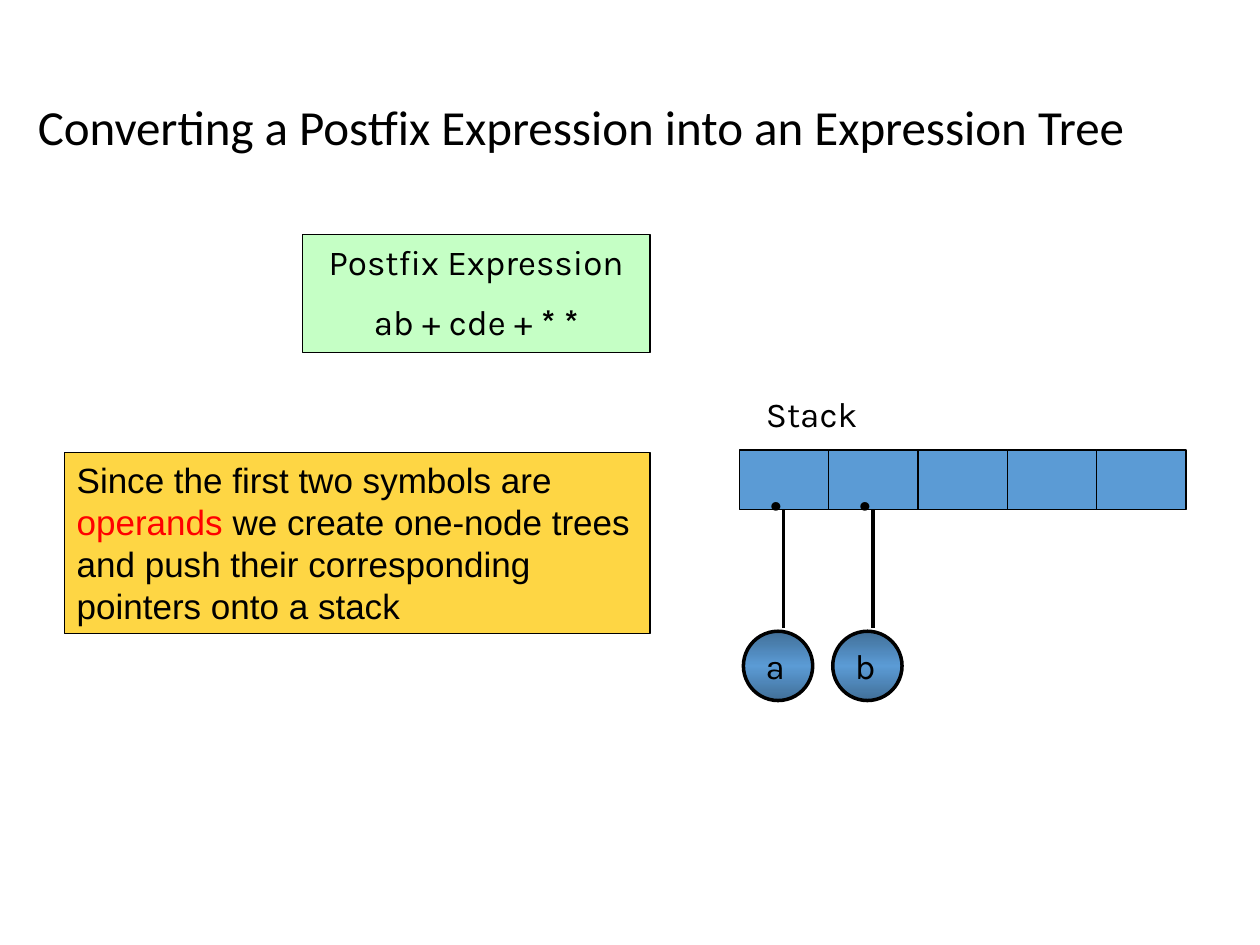
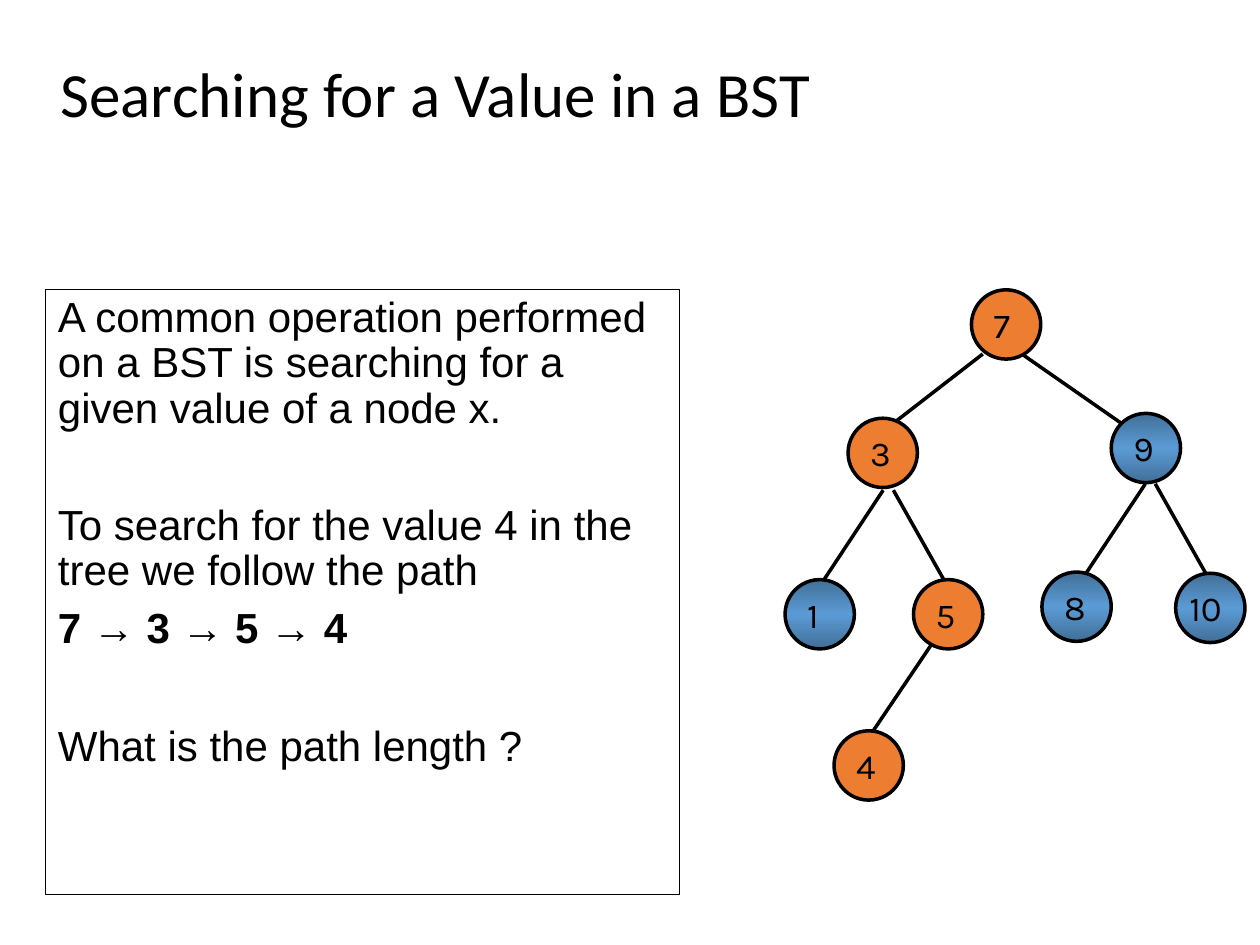
from copy import deepcopy

from lxml.etree import SubElement
from pptx import Presentation
from pptx.dml.color import RGBColor
from pptx.enum.shapes import MSO_CONNECTOR as Connector, MSO_SHAPE as Shape
from pptx.enum.text import MSO_ANCHOR as Anchor, MSO_AUTO_SIZE as AutoSize, PP_ALIGN as Align
from pptx.oxml.ns import qn
from pptx.util import Pt

THEME = {
    "ink": RGBColor.from_string("000000"),
    "keyword": RGBColor.from_string("FF0000"),
    "blue": RGBColor.from_string("5B9BD5"),
    "deep blue": RGBColor.from_string("416F98"),
    "orange": RGBColor.from_string("ED7D31"),
    "green": RGBColor.from_string("C5FFC5"),
    "yellow": RGBColor.from_string("FED644"),
    "label": {"name": "Karla", "size": Pt(20)},
    "note": {"name": "Arial", "size": Pt(20)},
    "body": {"name": "Arial", "size": Pt(24)},
    "dot": {"name": "Karla", "size": Pt(44)},
    "thin": Pt(0.75),
    "thick": Pt(2),
}
NODE_SIZE = 39.6


def write(frame, paragraphs, font, **layout):
    """Fill a frame; each paragraph is a list of (text, font changes, colour name)."""
    frame.word_wrap = True
    frame.auto_size = AutoSize.NONE
    for index, spans in enumerate(paragraphs):
        para = frame.add_paragraph() if index else frame.paragraphs[0]
        formats = {"alignment": Align.LEFT, "space_before": Pt(10 if index else 0), **layout}
        for name, value in formats.items():
            setattr(para, name, value)
        for text, changes, colour in spans:
            span = para.add_run()
            span.text = text
            for name, value in {**font, **changes}.items():
                setattr(span.font, name, value)
            span.font.color.rgb = THEME[colour]


def add_box(page, kind, area, fill, width):
    box = page.shapes.add_shape(kind, *map(Pt, area))
    box.shadow.inherit = False
    box.fill.solid()
    box.fill.fore_color.rgb = THEME[fill]
    box.line.color.rgb = THEME["ink"]
    box.line.width = width
    box.text_frame.vertical_anchor = Anchor.TOP
    return box


deck = Presentation()
deck.slide_width, deck.slide_height = Pt(720), Pt(540)
title_only, title_and_body = deck.slide_layouts[5], deck.slide_layouts[1]

# Titles
pages = []
for layout, text, size, area in [
    (title_only, "Converting a Postfix Expression into an Expression Tree", 28,
     (14.4, 16.6, 705.6, 115.2)),
    (title_and_body, "Searching for a Value in a BST", 36, (27.4, -2.2, 613.4, 115.2)),
]:
    page = deck.slides.add_slide(layout)
    title = page.shapes.title
    title.left, title.top, title.width, title.height = map(Pt, area)
    title.text_frame.vertical_anchor = Anchor.MIDDLE
    write(title.text_frame, [[(text, {}, "ink")]], {"name": "Calibri", "size": Pt(size)},
          line_spacing=0.9)
    pages.append(page)
postfix_page, search_page = pages

# Postfix expression and explanation
expression = add_box(postfix_page, Shape.RECTANGLE, (172.8, 133.9, 198.7, 67.7),
                     "green", THEME["thin"])
write(expression.text_frame, [
    [("Postfix Expression", {}, "ink")],
    [("ab + cde + ", {}, "ink"), ("* *", {"bold": True}, "ink")],
], THEME["label"], alignment=Align.CENTER)

explanation = add_box(postfix_page, Shape.RECTANGLE, (36.7, 258.5, 334.8, 103.7),
                      "yellow", THEME["thin"])
write(explanation.text_frame, [[
    ("Since the first two symbols are ", {}, "ink"),
    ("operands ", {}, "keyword"),
    ("we create one-node trees and push their corresponding pointers onto a stack", {}, "ink"),
]], THEME["note"])

# Stack
stack_label = postfix_page.shapes.add_textbox(*map(Pt, (430.6, 221, 167.8, 31.7)))
write(stack_label.text_frame, [[("Stack", {}, "ink")]], THEME["label"])
CELL_WIDTH, STACK_LEFT, OPERANDS = 51.05, 422.5, "ab"
for index in range(5):
    cell = add_box(postfix_page, Shape.RECTANGLE,
                   (STACK_LEFT + index * CELL_WIDTH, 257.2, CELL_WIDTH, 34),
                   "blue", THEME["thin"])
    if index < len(OPERANDS):
        frame = cell.text_frame
        frame.vertical_anchor = Anchor.MIDDLE
        frame.margin_left = Pt(17)
        write(frame, [[(".", {}, "ink")]], THEME["dot"])

# Search text
body = search_page.placeholders[1]
body.left, body.top, body.width, body.height = map(Pt, (25.9, 165.6, 362.2, 345.6))
body.line.color.rgb = THEME["ink"]
body.line.width = THEME["thin"]
write(body.text_frame, [
    [("A common operation performed on a BST is searching for a given value of a node x.",
      {}, "ink")],
    [("To search for the value 4 in the tree we follow the path", {}, "ink")],
    [("7 → 3 → 5 → 4", {"bold": True}, "ink")],
    [("What is the path length ?", {}, "ink")],
], THEME["body"], line_spacing=0.9)
for para, gap in zip(body.text_frame.paragraphs, (0, 41, 7.5, 41)):
    para.space_before = Pt(gap)
    settings = para._p.get_or_add_pPr()
    settings.set("marL", "0")
    settings.set("indent", "0")
    SubElement(settings, qn("a:buNone"))

# Stack pointers and tree edges: start x, start y, end x, end y
edges = [(postfix_page, (447.8 + i * CELL_WIDTH, 291.4, 447.8 + i * CELL_WIDTH, 359))
         for i in range(len(OPERANDS))]
edges += [(search_page, ends) for ends in [
    (561.6, 202.3, 510.5, 241.9),
    (583.9, 202.3, 640.8, 241.9),
    (504.7, 280.1, 470.9, 331.2),
    (510.5, 280.1, 539.3, 331.2),
    (654.5, 276.5, 620.6, 327.6),
    (660.2, 276.5, 689, 327.6),
    (533.5, 366.5, 499, 417.6),
]]
for page, ends in edges:
    edge = page.shapes.add_connector(Connector.STRAIGHT, *map(Pt, ends))
    edge.line.color.rgb = THEME["ink"]
    edge.line.width = THEME["thick"]
    SubElement(edge._element.spPr, qn("a:effectLst"))

# Tree nodes: label, left, top, fill
nodes = [(postfix_page, (label, 424.8 + i * CELL_WIDTH, 360.7, "blue"))
         for i, label in enumerate(OPERANDS)]
nodes += [(search_page, node) for node in [
    ("7", 555.1, 165.6, "orange"),
    ("3", 484.6, 239, "orange"),
    ("9", 635, 236.2, "blue"),
    ("1", 448.6, 331.2, "blue"),
    ("5", 522, 331.2, "orange"),
    ("8", 595.4, 326.9, "blue"),
    ("10", 671.8, 327.6, "blue"),
    ("4", 476.6, 417.6, "orange"),
]]
for page, (label, left, top, fill) in nodes:
    node = add_box(page, Shape.OVAL, (left, top, NODE_SIZE, NODE_SIZE), fill, THEME["thick"])
    if fill == "blue":
        node.fill.gradient()
        node.fill.gradient_angle = 90
        stop_list = node._element.spPr.find(qn("a:gradFill")).find(qn("a:gsLst"))
        stop_list.append(deepcopy(stop_list[-1]))
        for stop, position, colour in zip(node.fill.gradient_stops, (0, 0.5, 1),
                                          ("deep blue", "blue", "deep blue")):
            stop.position = position
            stop.color.rgb = THEME[colour]
    inset, width = (5.6, 28) if len(label) == 1 else (0.7, 36.7)
    caption = page.shapes.add_textbox(Pt(left + inset), Pt(top + 4.2), Pt(width), Pt(31))
    write(caption.text_frame, [[(label, {}, "ink")]], THEME["label"])

deck.save("out.pptx")
